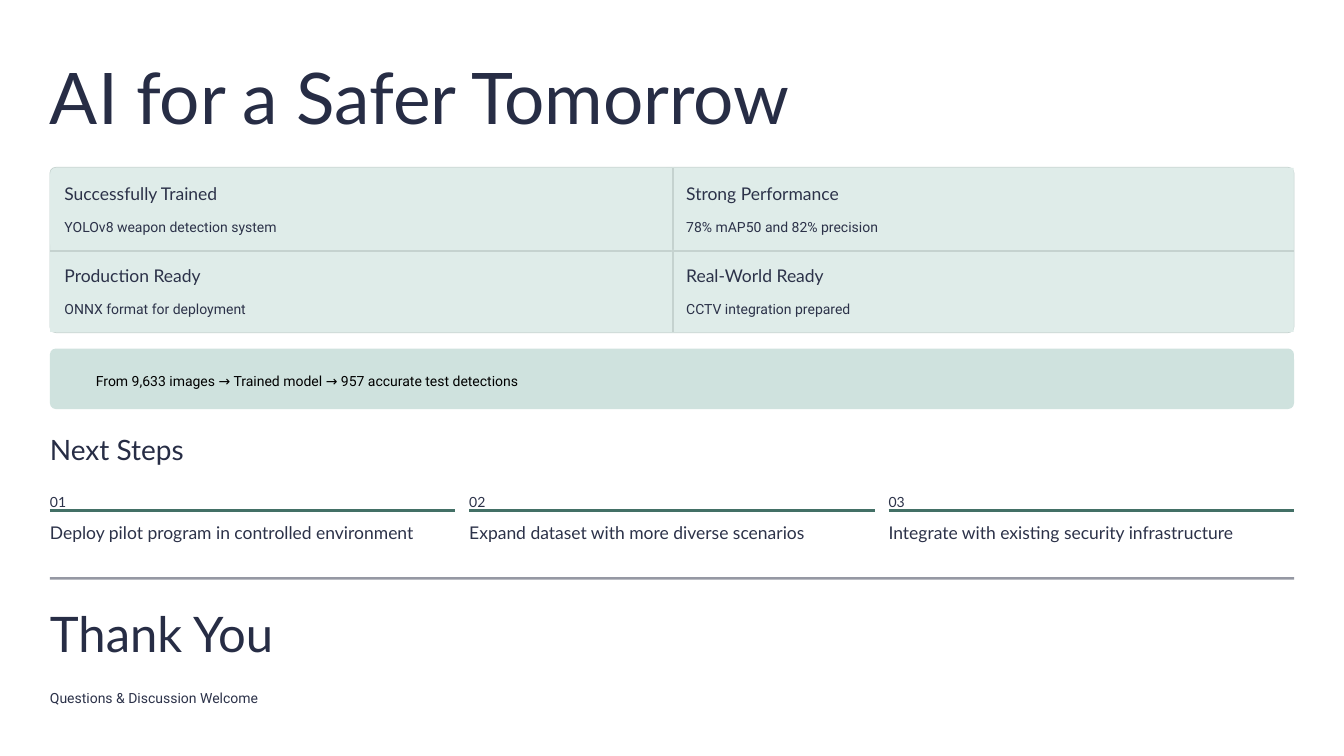
import dataclasses

import lxml.etree
import pptx
import pptx.dml.color
import pptx.enum.shapes
import pptx.enum.text
import pptx.oxml.ns
import pptx.util

Cm = pptx.util.Cm
Pt = pptx.util.Pt
SHAPE = pptx.enum.shapes.MSO_SHAPE
qn = pptx.oxml.ns.qn


def rgb(value):
    return pptx.dml.color.RGBColor.from_string(value)


@dataclasses.dataclass(frozen=True)
class TextStyle:
    font: str
    size: float
    leading: float
    color: str


@dataclasses.dataclass(frozen=True)
class Theme:
    title: TextStyle = TextStyle("Lato", 61, 76, "272D45")
    closing: TextStyle = TextStyle("Lato", 42, 52.5, "272D45")
    section: TextStyle = TextStyle("Lato", 24, 30.5, "272D45")
    heading: TextStyle = TextStyle("Lato", 15, 19, "2C3249")
    number: TextStyle = TextStyle("Lato", 12, 19.5, "2C3249")
    body: TextStyle = TextStyle("Roboto", 12, 19.5, "2C3249")
    summary: TextStyle = TextStyle("Roboto", 12, 19.5, "000000")
    panel: str = "DFECE9"
    grid: str = "C5D2CF"
    banner: str = "CFE2DE"
    accent: str = "437066"
    divider: str = "2C3249"
    rule_weight: float = 2.1
    grid_weight: float = 1.8
    border_weight: float = 0.6


THEME = Theme()
LEFT, WIDTH = 1.51, 37.62
RIGHT = LEFT + WIDTH

ACHIEVEMENTS = [
    ("Successfully Trained", "YOLOv8 weapon detection system"),
    ("Strong Performance", "78% mAP50 and 82% precision"),
    ("Production Ready", "ONNX format for deployment"),
    ("Real-World Ready", "CCTV integration prepared"),
]
NEXT_STEPS = [
    "Deploy pilot program in controlled environment",
    "Expand dataset with more diverse scenarios",
    "Integrate with existing security infrastructure",
]


def apply_format(target, values):
    for name, value in values.items():
        setattr(target, name, value)


def place(target, left, top, width, height):
    apply_format(target, {
        "left": Cm(left), "top": Cm(top),
        "width": Cm(width), "height": Cm(height),
    })


def write_text(holder, words, style):
    apply_format(holder.text_frame, {
        "margin_left": 0, "margin_top": 0, "margin_right": 0, "margin_bottom": 0,
        "word_wrap": True,
        "auto_size": pptx.enum.text.MSO_AUTO_SIZE.NONE,
        "vertical_anchor": pptx.enum.text.MSO_ANCHOR.TOP,
    })
    paragraph = holder.text_frame.paragraphs[0]
    apply_format(paragraph, {
        "text": words,
        "alignment": pptx.enum.text.PP_ALIGN.LEFT,
        "line_spacing": Pt(style.leading),
        "space_before": Pt(0),
    })
    font = paragraph.runs[0].font
    apply_format(font, {"name": style.font, "size": Pt(style.size)})
    font.color.rgb = rgb(style.color)


def add_label(slide, words, style, left, top, width, height):
    label = slide.shapes.add_textbox(Cm(left), Cm(top), Cm(width), Cm(height))
    write_text(label, words, style)


def add_panel(slide, left, top, width, height, fill, corner=0, border=None):
    outline = SHAPE.ROUNDED_RECTANGLE if corner else SHAPE.RECTANGLE
    panel = slide.shapes.add_shape(outline, Cm(left), Cm(top), Cm(width), Cm(height))
    if corner:
        panel.adjustments[0] = corner
    panel.shadow.inherit = False
    panel.fill.solid()
    panel.fill.fore_color.rgb = rgb(fill)
    if border:
        panel.line.color.rgb = rgb(border)
        panel.line.width = Pt(THEME.border_weight)
    else:
        panel.line.fill.background()


def add_rule(slide, color, start, end, weight=THEME.rule_weight, opacity=None):
    rule = slide.shapes.add_connector(
        pptx.enum.shapes.MSO_CONNECTOR.STRAIGHT, *map(Cm, start + end))
    rule.line.color.rgb = rgb(color)
    rule.line.width = Pt(weight)
    properties = rule._element.spPr
    if opacity is not None:
        tint = properties.find(".//" + qn("a:srgbClr"))
        lxml.etree.SubElement(tint, qn("a:alpha")).set("val", str(opacity * 1000))
    lxml.etree.SubElement(properties, qn("a:effectLst"))


def add_achievements(slide):
    add_panel(slide, LEFT, 5.06, WIDTH, 5, THEME.panel, 0.036, THEME.grid)
    width, height, inset = 18.8, 2.48, 0.04
    for index, (heading, detail) in enumerate(ACHIEVEMENTS):
        row, column = divmod(index, 2)
        left = 1.52 + column * width
        top = 5.08 + row * height
        corner = 0 if index else 0.073
        add_panel(slide, left, top, width, height, THEME.panel, corner)
        if column:
            add_rule(slide, THEME.grid, (left + inset, top),
                     (left + inset, top + height), THEME.grid_weight)
        if row:
            add_rule(slide, THEME.grid, (left, top + inset),
                     (left + width, top + inset), THEME.grid_weight)
        add_label(slide, heading, THEME.heading, left + 0.43, top + 0.43, 17.93, 0.66)
        add_label(slide, detail, THEME.body, left + 0.43, top + 1.35, 17.93, 0.69)


def add_next_steps(slide):
    add_label(slide, "Next Steps", THEME.section, LEFT, 13.02, 8.61, 1.07)
    gap = 0.42
    width = (WIDTH - gap * (len(NEXT_STEPS) - 1)) / len(NEXT_STEPS)
    for index, step in enumerate(NEXT_STEPS):
        left = LEFT + index * (width + gap)
        add_label(slide, f"{index + 1:02}", THEME.number, left, 14.73, 1, 0.53)
        add_rule(slide, THEME.accent, (left, 15.44), (left + width, 15.44))
        add_label(slide, step, THEME.heading, left, 15.75, width, 0.66)


def main():
    deck = pptx.Presentation()
    apply_format(deck, {"slide_width": Cm(40.64), "slide_height": Cm(22.86)})
    slide = deck.slides.add_slide(deck.slide_layouts.get_by_name("Title Only"))

    title = slide.shapes.title
    place(title, LEFT, 1.5, WIDTH, 2.69)
    write_text(title, "AI for a Safer Tomorrow", THEME.title)

    add_achievements(slide)

    add_panel(slide, LEFT, 10.54, WIDTH, 1.83, THEME.banner, 0.099)
    add_label(slide, "From 9,633 images → Trained model → 957 accurate test detections",
              THEME.summary, 2.9, 11.07, 35.79, 0.69)

    add_next_steps(slide)

    add_rule(slide, THEME.divider, (LEFT, 17.49), (RIGHT, 17.49), opacity=50)
    add_label(slide, "Thank You", THEME.closing, LEFT, 18.18, 14.86, 1.85)
    add_label(slide, "Questions & Discussion Welcome", THEME.body, LEFT, 20.68, WIDTH, 0.69)

    deck.save("out.pptx")


if __name__ == "__main__":
    main()
